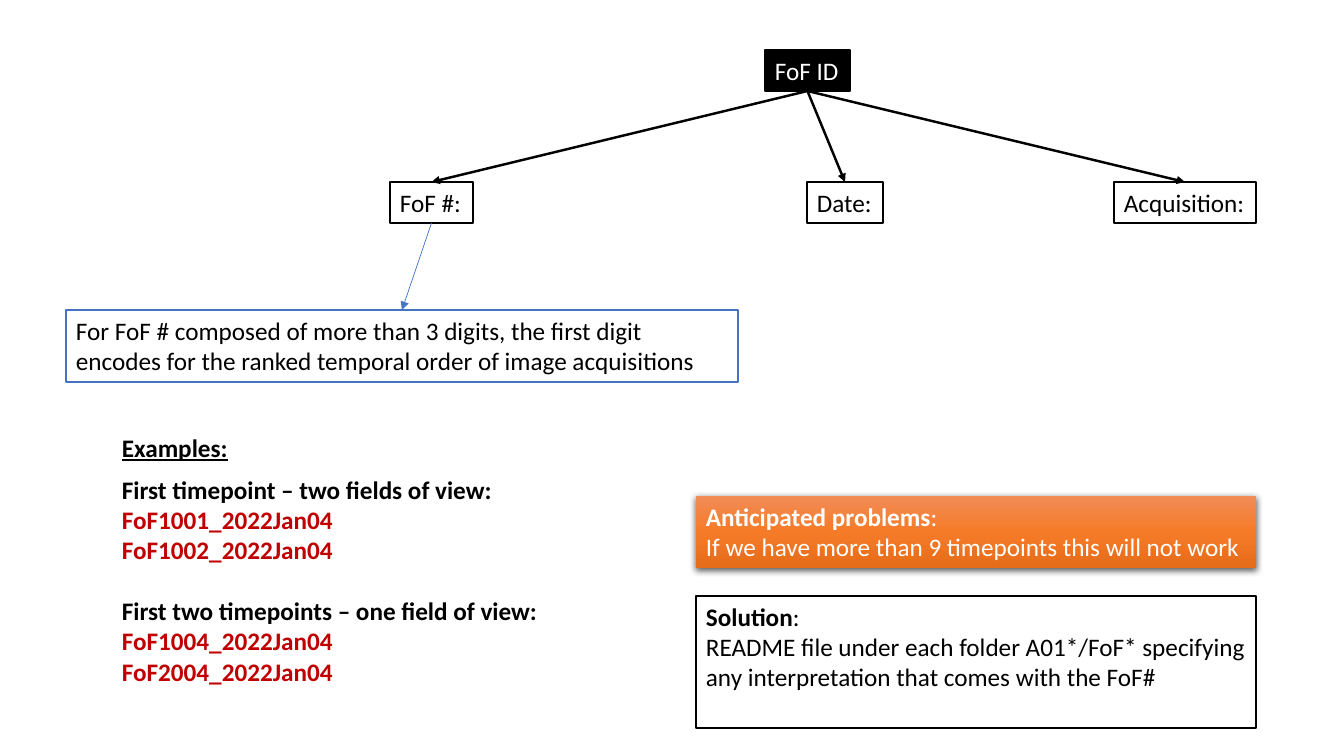
from copy import deepcopy

from lxml import etree
from pptx import Presentation
from pptx import util as u
from pptx.dml.color import RGBColor
from pptx.enum import shapes, text
from pptx.oxml import parse_xml
from pptx.oxml.ns import nsdecls, qn

PX = 914400 / 100.8
BLACK, WHITE, RED, BLUE = "000000", "FFFFFF", "C00000", "4472C4"
TOP_SITE, BOTTOM_SITE = 0, 2

prs = Presentation()
prs.slide_width, prs.slide_height = round(1344 * PX), round(756 * PX)
slide = prs.slides.add_slide(prs.slide_layouts[6])


def rgb(code):
    """Turn a hex string into a colour."""
    return RGBColor.from_string(code)


def add_box(place, paragraphs, fill=None, line=None, wrap=True):
    """Add a rectangle; each paragraph lists (words, colour, bold) runs."""
    box = slide.shapes.add_shape(
        shapes.MSO_SHAPE.RECTANGLE, *[round(v * PX) for v in place])
    box.shadow.inherit = False
    if fill:
        box.fill.solid()
        box.fill.fore_color.rgb = rgb(fill)
    else:
        box.fill.background()
    if line:
        box.line.color.rgb = rgb(line)
        box.line.width = u.Pt(1)
    else:
        box.line.fill.background()
    frame = box.text_frame
    frame.word_wrap = wrap
    frame.vertical_anchor = text.MSO_ANCHOR.TOP
    for i, runs in enumerate(paragraphs):
        para = frame.add_paragraph() if i else frame.paragraphs[0]
        para.alignment = text.PP_ALIGN.LEFT
        for words, colour, bold in runs:
            run = para.add_run()
            run.text = words
            run.font.name, run.font.size = "Calibri", u.Pt(18)
            run.font.bold = bold
            run.font.color.rgb = rgb(colour)
    return box


# Parts of the ID
fof_id = add_box((765, 50, 85, 41), [[("FoF ID", WHITE, False)]],
                 BLACK, BLACK, wrap=False)
id_parts = [
    add_box((left, 182, width, 41), [[(label, BLACK, False)]],
            WHITE, BLACK, wrap=False)
    for label, left, width in [
        ("FoF #:", 390, 83), ("Date:", 807, 76), ("Acquisition:", 1114, 142)]]
digit_rule = add_box((66, 310, 672, 72), [[(
    "For FoF # composed of more than 3 digits, the first digit encodes "
    "for the ranked temporal order of image acquisitions", BLACK, False)]],
    WHITE, BLUE)

# Arrows from each box to the one below it
links = [(fof_id, part, BLACK, 1.75) for part in id_parts]
links.append((id_parts[0], digit_rule, BLUE, 0.5))
for parent, child, colour, weight in links:
    arrow = slide.shapes.add_connector(
        shapes.MSO_CONNECTOR.STRAIGHT, 0, 0, 0, 0)
    arrow.begin_connect(parent, BOTTOM_SITE)
    arrow.end_connect(child, TOP_SITE)
    arrow.line.color.rgb = rgb(colour)
    arrow.line.width = u.Pt(weight)
    etree.SubElement(arrow.line._get_or_add_ln(), qn("a:tailEnd"),
                     type="triangle")
    etree.SubElement(arrow._element.spPr, qn("a:effectLst"))

# Examples
heading = add_box((112, 427, 127, 41), [[("Examples:", BLACK, True)]],
                  wrap=False)
heading.text_frame.paragraphs[0].runs[0].font.underline = True
example_lines = [
    ("First timepoint – two fields of view: ", BLACK),
    ("FoF1001_2022Jan04", RED),
    ("FoF1002_2022Jan04", RED),
    ("First two timepoints – one field of view: ", BLACK),
    ("FoF1004_2022Jan04", RED),
    ("FoF2004_2022Jan04", RED)]
examples = add_box((112, 469, 456, 254),
                   [[(words, colour, True)] for words, colour in example_lines])
examples.text_frame.paragraphs[3].space_before = u.Pt(22)

# Problem and solution
problems = add_box((696, 496, 560, 72), [
    [("Anticipated problems", WHITE, True), (":", WHITE, False)],
    [("If we have more than 9 timepoints this will not work", WHITE, False)]])
problems.fill.gradient()
problems.fill.gradient_angle = 270
stop_list = problems._element.spPr.find(qn("a:gradFill")).find(qn("a:gsLst"))
stop_list.insert(1, deepcopy(stop_list[0]))
for stop, position, colour in zip(problems.fill.gradient_stops, (0, 0.5, 1),
                                  ("F18C57", "F67B28", "E56C19")):
    stop.position = position
    stop.color.rgb = rgb(colour)
problems._element.spPr.find(qn("a:effectLst")).append(parse_xml(
    f'<a:outerShdw {nsdecls("a")} blurRad="{u.Pt(4.5)}" dist="{u.Pt(1.5)}" '
    'dir="5400000" algn="ctr" rotWithShape="0"><a:srgbClr val="000000">'
    '<a:alpha val="63000"/></a:srgbClr></a:outerShdw>'))

add_box((696, 596, 560, 132), [
    [("Solution", BLACK, True), (":", BLACK, False)],
    [("README file under each folder A01*/FoF* specifying any "
      "interpretation that comes with the FoF#", BLACK, False)]],
    WHITE, BLACK)

prs.save("out.pptx")
